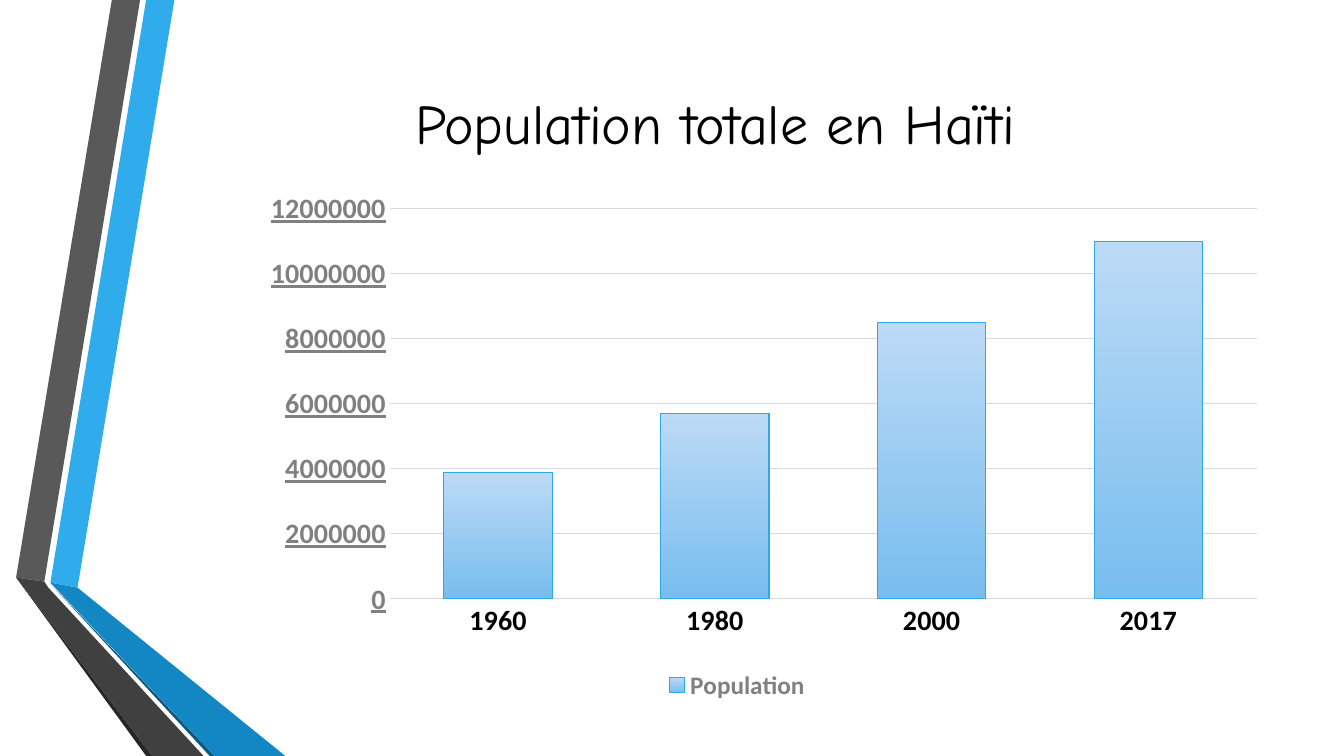
from lxml import etree
from pptx import Presentation
from pptx.chart.data import CategoryChartData
from pptx.dml.color import RGBColor
from pptx.enum.chart import XL_CHART_TYPE, XL_LEGEND_POSITION, XL_TICK_MARK
from pptx.enum.text import MSO_ANCHOR, PP_ALIGN
from pptx.oxml.ns import qn
from pptx.util import Inches, Pt

COLUMNS = XL_CHART_TYPE.COLUMN_CLUSTERED
BOTTOM = XL_LEGEND_POSITION.BOTTOM
NO_TICK = XL_TICK_MARK.NONE
CENTER, MIDDLE = PP_ALIGN.CENTER, MSO_ANCHOR.MIDDLE

# Content
TITLE = "Population totale en Haïti"
SERIES = "Population"
POPULATION = {"1960": 3900000, "1980": 5700000, "2000": 8500000, "2017": 11000000}
AXIS_MAX, AXIS_STEP = 12000000, 2000000

# Layout in inches; the plot area in shares of the chart
SLIDE_W, SLIDE_H = 13.33, 7.5
TITLE_BOX = (1.62, 0.25, 10.95, 1.92)
CHART_BOX = (2.06, 1.58, 10.5, 5.42)
PLOT = {"x": 0.172, "y": 0.091, "w": 0.819, "h": 0.714}

# Ribbon facets, from back to front: colour and corners
RIBBONS = [
    ("30ACEC", [(0.5, 5.78), (0.77, 5.83), (1.73, 0), (1.45, 0)]),
    ("595959", [(1.39, 0), (1.11, 0), (0.16, 5.73), (0.44, 5.77)]),
    ("262626", [(0.16, 5.73), (1.45, SLIDE_H), (1.51, SLIDE_H)]),
    ("0C5A82", [(0.5, 5.79), (2.08, SLIDE_H), (2.13, SLIDE_H)]),
    ("1287C3", [(0.5, 5.78), (2.13, SLIDE_H), (2.83, SLIDE_H), (0.77, 5.83)]),
    ("404040", [(0.16, 5.73), (1.51, SLIDE_H), (2.02, SLIDE_H), (0.48, 5.83), (0.44, 5.77)]),
]
BLACK, GREY, GRID = "000000", "808080", "D9D9D9"
BAR_TOP, BAR_BASE, BAR_EDGE = "BCDAF6", "78BDEF", "2FA8E7"


def rgb(color):
    return RGBColor.from_string(color)


def style_font(font, size, color=BLACK, name="Calibri", bold=True, underline=False):
    font.size, font.name, font.bold, font.underline = Pt(size), name, bold, underline
    font.color.rgb = rgb(color)


def write(frame, text, align=CENTER, anchor=MIDDLE, **style):
    frame.word_wrap = True
    frame.vertical_anchor = anchor
    paragraph = frame.paragraphs[0]
    paragraph.alignment = align
    run = paragraph.add_run()
    run.text = text
    style_font(run.font, **style)


def style_line(line, color):
    line.color.rgb = rgb(color)
    line.width = Pt(0.75)


def add_facet(slide, color, corners):
    points = [(Inches(x), Inches(y)) for x, y in corners]
    builder = slide.shapes.build_freeform(*points[0])
    builder.add_line_segments(points[1:], close=True)
    facet = builder.convert_to_shape()
    facet.shadow.inherit = False
    facet.fill.solid()
    facet.fill.fore_color.rgb = rgb(color)
    facet.line.fill.background()


def place_plot(chart, shares):
    plot_area = chart.plots[0]._element.getparent()
    for old in plot_area.findall(qn("c:layout")):
        plot_area.remove(old)
    layout = etree.Element(qn("c:layout"))
    manual = etree.SubElement(layout, qn("c:manualLayout"))
    settings = {"layoutTarget": "inner", "xMode": "edge", "yMode": "edge", **shares}
    for tag, value in settings.items():
        etree.SubElement(manual, qn("c:" + tag)).set("val", str(value))
    plot_area.insert(0, layout)


def add_population_chart(slide):
    data = CategoryChartData()
    data.categories = list(POPULATION)
    data.add_series(SERIES, list(POPULATION.values()))
    chart = slide.shapes.add_chart(COLUMNS, *map(Inches, CHART_BOX), data).chart
    style_font(chart.font, 10, bold=False)
    chart.has_title = False
    place_plot(chart, PLOT)

    # Legend
    chart.has_legend = True
    chart.legend.position = BOTTOM
    chart.legend.include_in_layout = False
    style_font(chart.legend.font, 18, GREY)

    # Axes
    years, people = chart.category_axis, chart.value_axis
    for axis in (years, people):
        axis.major_tick_mark = axis.minor_tick_mark = NO_TICK
    style_font(years.tick_labels.font, 20)
    style_line(years.format.line, GRID)
    style_font(people.tick_labels.font, 20, GREY, underline=True)
    people.format.line.fill.background()
    people.minimum_scale, people.maximum_scale = 0, AXIS_MAX
    people.major_unit = AXIS_STEP
    style_line(people.major_gridlines.format.line, GRID)

    # Bars
    plot = chart.plots[0]
    plot.gap_width, plot.overlap = 100, -24
    plot.vary_by_categories = False
    bars = plot.series[0].format
    bars.fill.gradient()
    bars.fill.gradient_angle = 270
    for stop, color, position in zip(bars.fill.gradient_stops, (BAR_TOP, BAR_BASE), (0, 1)):
        stop.color.rgb = rgb(color)
        stop.position = position
    style_line(bars.line, BAR_EDGE)


def main():
    deck = Presentation()
    deck.slide_width, deck.slide_height = Inches(SLIDE_W), Inches(SLIDE_H)
    slide = deck.slides.add_slide(deck.slide_layouts[5])
    for color, corners in RIBBONS:
        add_facet(slide, color, corners)
    add_population_chart(slide)

    # Title
    title = slide.shapes.title
    title.left, title.top, title.width, title.height = map(Inches, TITLE_BOX)
    write(title.text_frame, TITLE, size=40, name="Comic Neue", bold=False)
    deck.save("out.pptx")


if __name__ == "__main__":
    main()
